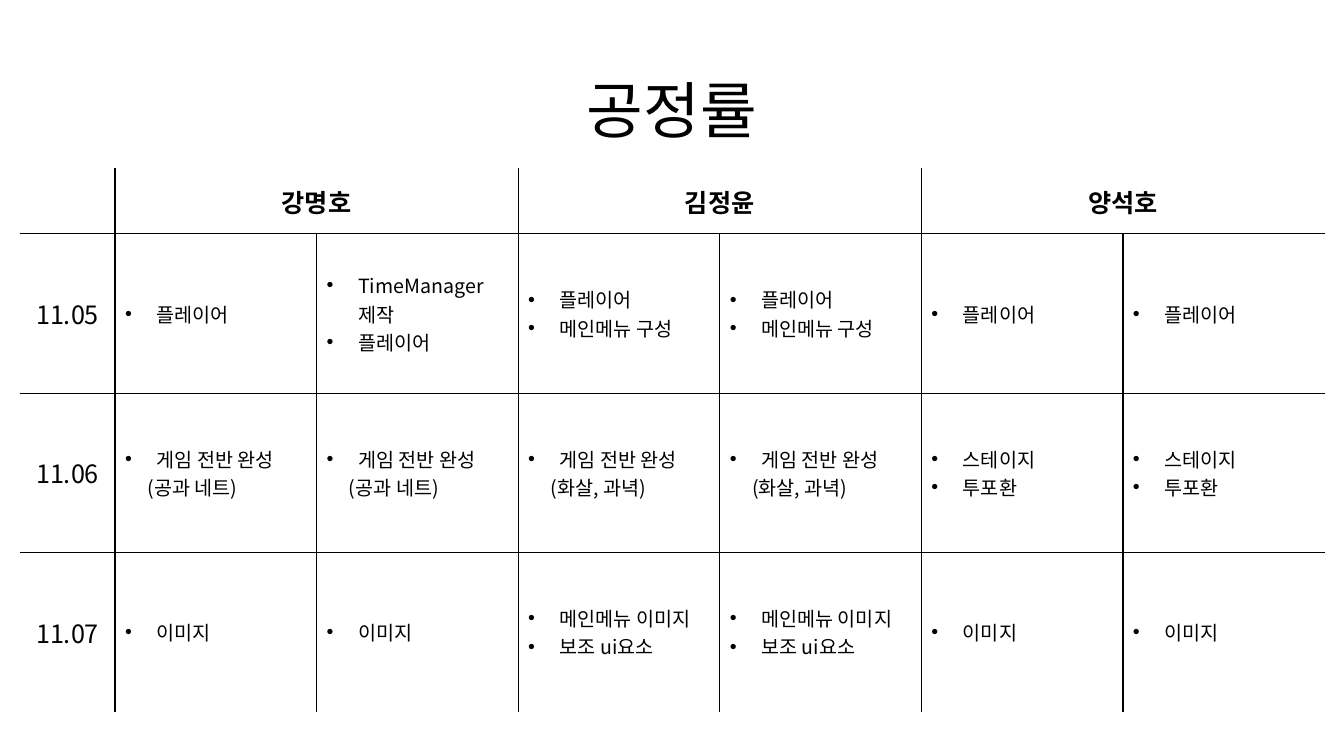
from dataclasses import dataclass

from lxml import etree
from pptx import Presentation
from pptx.dml.color import RGBColor
from pptx.enum.text import MSO_ANCHOR, PP_ALIGN
from pptx.oxml.ns import qn
from pptx.table import Table, _Cell
from pptx.text.text import TextFrame
from pptx.util import Pt

MIDDLE = MSO_ANCHOR.MIDDLE
CENTER, LEFT = PP_ALIGN.CENTER, PP_ALIGN.LEFT
FONT = "Noto Sans CJK KR"
BLACK, WHITE = "000000", "FFFFFF"
DATE_W, TASK_W = 67.7, 144
HEAD_H, DAY_H = 46.8, 113.76
BULLET_IN, NOTE_IN = 22.5, 16


@dataclass
class Day:
    date: str
    tasks: list[list[str]]


NAMES = ["강명호", "김정윤", "양석호"]
PLAY = ["플레이어"]
MENU = ["플레이어", "메인메뉴 구성"]
NET = ["게임 전반 완성", "(공과 네트)"]
BOW = ["게임 전반 완성", "(화살, 과녁)"]
STAGE = ["스테이지", "투포환"]
IMAGE = ["이미지"]
PARTS = ["메인메뉴 이미지", "보조 ui요소"]
DAYS = [
    Day("11.05", [PLAY, ["TimeManager 제작", "플레이어"], MENU, MENU, PLAY, PLAY]),
    Day("11.06", [NET, NET, BOW, BOW, STAGE, STAGE]),
    Day("11.07", [IMAGE, IMAGE, PARTS, PARTS, IMAGE, IMAGE]),
]
COLS, ROWS = 1 + 2 * len(NAMES), 1 + len(DAYS)


def color(code: str) -> RGBColor:
    return RGBColor.from_string(code)


def write(frame: TextFrame, lines: list[str], *, size: float = 18,
          bold: bool = False, align: PP_ALIGN = CENTER,
          space: float = 1, listed: bool = False) -> None:
    """Fill a frame; in a list, lines in brackets are notes without a bullet."""
    for i, line in enumerate(lines):
        para = frame.add_paragraph() if i else frame.paragraphs[0]
        para.alignment = align
        para.line_spacing = space
        run = para.add_run()
        run.text = line
        run.font.size = Pt(size)
        run.font.bold = bold
        run.font.color.rgb = color(BLACK)
        run.font.name = FONT
        etree.SubElement(run.font._element, qn("a:ea"), typeface=FONT)
        if listed:
            indent(para._p.get_or_add_pPr(), not line.startswith("("))


def indent(props: etree._Element, bullet: bool) -> None:
    left = BULLET_IN if bullet else NOTE_IN
    props.set("marL", str(Pt(left)))
    props.set("indent", str(-Pt(left) if bullet else 0))
    if bullet:
        etree.SubElement(props, qn("a:buFont"), typeface="Arial")
        etree.SubElement(props, qn("a:buChar"), char="•")
    else:
        etree.SubElement(props, qn("a:buNone"))


def style(cell: _Cell, sides: dict[str, bool]) -> None:
    """Draw a line on each side marked true, and fill the cell."""
    props = cell._tc.get_or_add_tcPr()
    for side, shown in sides.items():
        line = etree.SubElement(props, qn(f"a:ln{side}"), w=str(Pt(1)))
        if shown:
            fill = etree.SubElement(line, qn("a:solidFill"))
            etree.SubElement(fill, qn("a:srgbClr"), val=BLACK)
        else:
            etree.SubElement(line, qn("a:noFill"))
    cell.fill.solid()
    cell.fill.fore_color.rgb = color(WHITE)
    cell.vertical_anchor = MIDDLE


def rule(table: Table) -> None:
    """Draw the inner lines only, none inside a merged name cell."""
    for row in range(ROWS):
        for col in range(COLS):
            cell = table.cell(row, col)
            last = col + (cell.span_width if cell.is_merge_origin else 1)
            style(cell, {
                "L": col > 0 and not cell.is_spanned,
                "R": last < COLS,
                "T": row > 0,
                "B": row < ROWS - 1,
            })


def main() -> None:
    deck = Presentation()
    deck.slide_width, deck.slide_height = Pt(960), Pt(540)
    slide = deck.slides.add_slide(deck.slide_layouts[6])

    title = slide.shapes.add_textbox(Pt(66), Pt(28.8), Pt(828), Pt(104.4))
    title.text_frame.word_wrap = True
    title.text_frame.vertical_anchor = MIDDLE
    write(title.text_frame, ["공정률"], size=44, space=0.9)

    wide = DATE_W + TASK_W * (COLS - 1)
    high = HEAD_H + DAY_H * len(DAYS)
    table = slide.shapes.add_table(
        ROWS, COLS, Pt(14.4), Pt(120.24), Pt(wide), Pt(high)).table
    for i, col in enumerate(table.columns):
        col.width = Pt(TASK_W if i else DATE_W)
    for i, row in enumerate(table.rows):
        row.height = Pt(DAY_H if i else HEAD_H)

    for i, name in enumerate(NAMES):
        cell = table.cell(0, 1 + 2 * i)
        cell.merge(table.cell(0, 2 + 2 * i))
        write(cell.text_frame, [name], bold=True)
    for row, day in enumerate(DAYS, 1):
        write(table.cell(row, 0).text_frame, [day.date])
        for col, tasks in enumerate(day.tasks, 1):
            write(table.cell(row, col).text_frame, tasks,
                  size=14, align=LEFT, listed=True)
    rule(table)
    deck.save("out.pptx")


if __name__ == "__main__":
    main()
